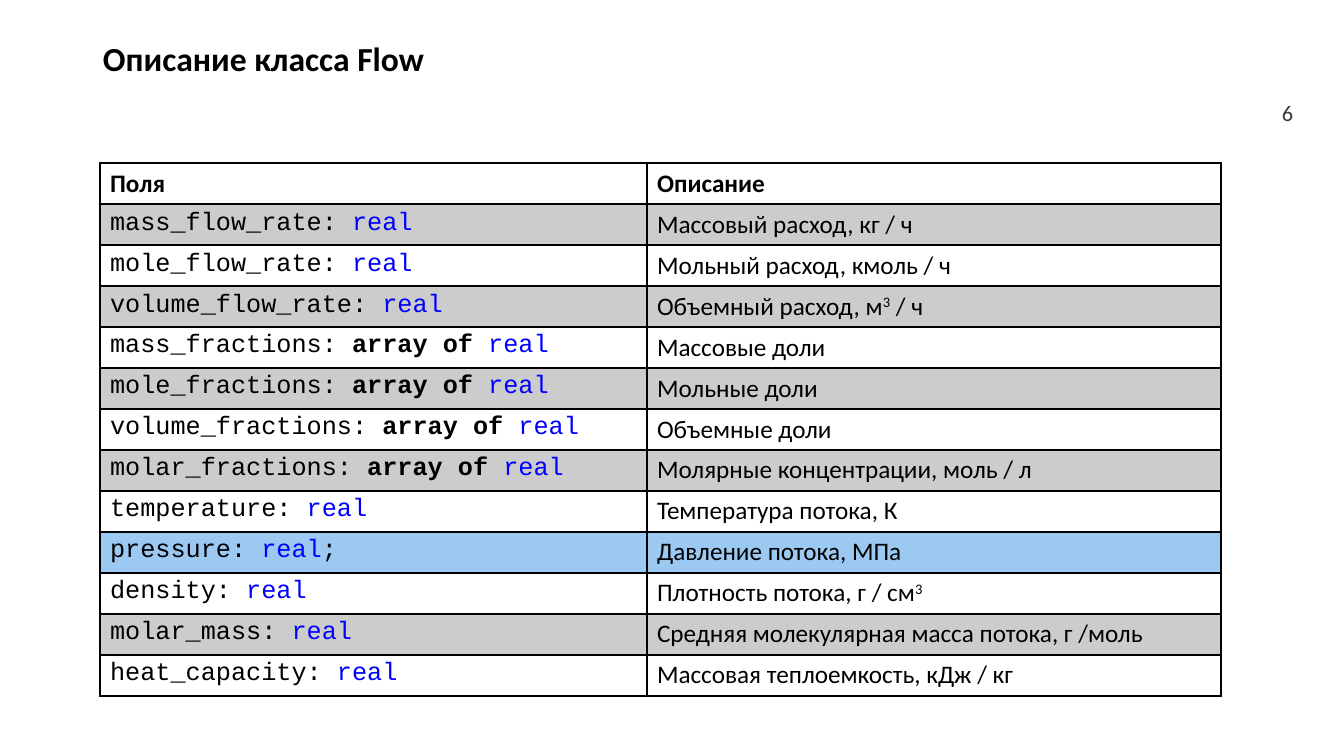
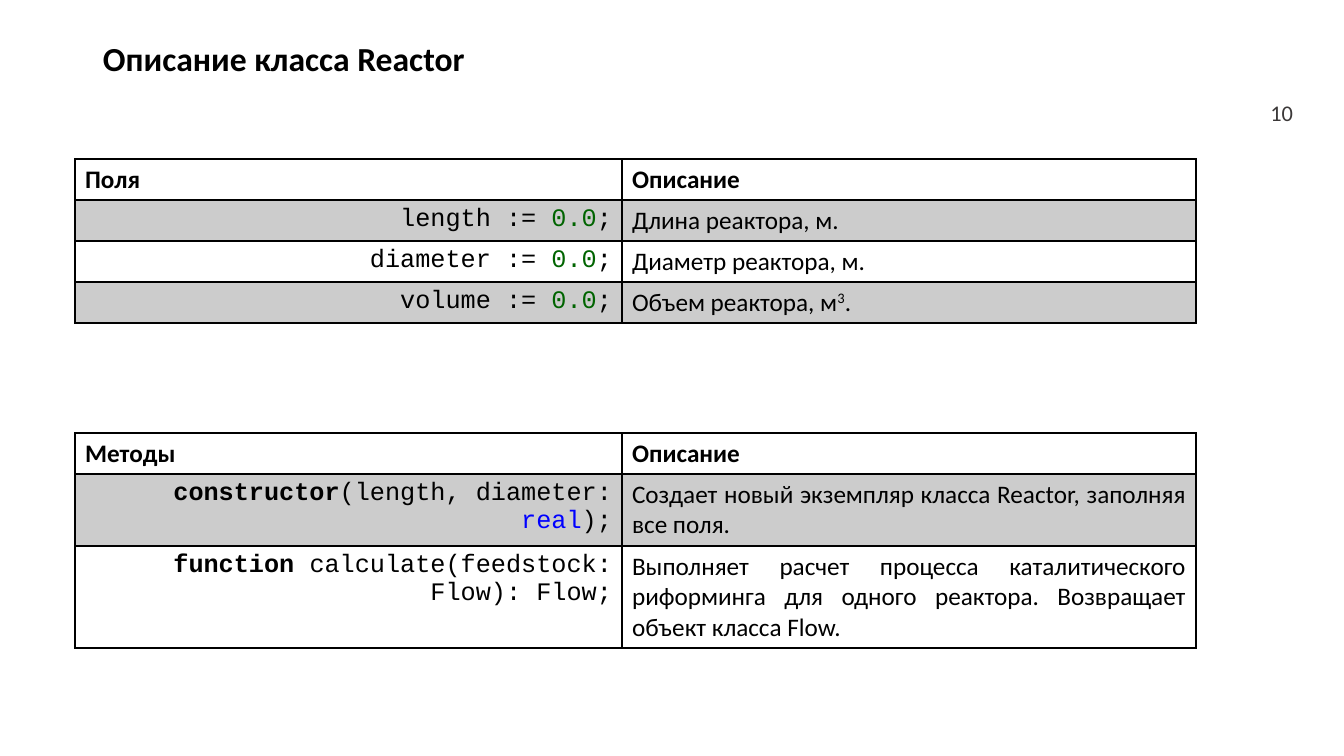
from lxml import etree
from pptx import Presentation
from pptx import util as u
from pptx.dml.color import RGBColor
from pptx.enum import text
from pptx.oxml import ns

BLACK = RGBColor(0x00, 0x00, 0x00)
WHITE = RGBColor(0xFF, 0xFF, 0xFF)
STRIPE = RGBColor(0xCC, 0xCC, 0xCC)
HIGHLIGHT = RGBColor(0x9B, 0xC9, 0xF2)
NUMBER_GREY = RGBColor(0x3B, 0x38, 0x38)
TYPE_BLUE = RGBColor(0x00, 0x00, 0xFF)
LITERAL_GREEN = RGBColor(0x00, 0x64, 0x00)

BODY, CODE = "Calibri", "Courier New"
SLIDE_W, SLIDE_H = 1344, 756
COLUMNS = (547, 574)
ROW = 41
LEFT, RIGHT, JUSTIFY = (text.PP_ALIGN.LEFT, text.PP_ALIGN.RIGHT,
                        text.PP_ALIGN.JUSTIFY)

# "|" separates runs; a run listed here gets its own colour, weight or position.
RUN_COLOURS = {"real": TYPE_BLUE, "0.0": LITERAL_GREEN}
BOLD_RUNS = {"array of ", "constructor", "function "}
SUPERSCRIPTS = {"3"}

FLOW_FIELDS = [
    ("Поля", "Описание"),
    ("mass_flow_rate: |real", "Массовый расход, кг / ч"),
    ("mole_flow_rate: |real", "Мольный расход, кмоль / ч"),
    ("volume_flow_rate: |real", "Объемный расход, м|3| / ч"),
    ("mass_fractions: |array of |real", "Массовые доли"),
    ("mole_fractions: |array of |real", "Мольные доли"),
    ("volume_fractions: |array of |real", "Объемные доли"),
    ("molar_fractions: |array of |real", "Молярные концентрации, моль / л"),
    ("temperature: |real", "Температура потока, К"),
    ("pressure: |real|;", "Давление потока, МПа"),
    ("density: |real", "Плотность потока, г / см|3"),
    ("molar_mass: |real", "Средняя молекулярная масса потока, г /моль"),
    ("heat_capacity: |real", "Массовая теплоемкость, кДж / кг"),
]
REACTOR_FIELDS = [
    ("Поля", "Описание"),
    ("length := |0.0|;", "Длина реактора, м."),
    ("diameter := |0.0|;", "Диаметр реактора, м."),
    ("volume := |0.0|;", "Объем реактора, м|3|."),
]
REACTOR_METHODS = [
    ("Методы", "Описание"),
    ("constructor|(length, diameter: |real|);",
     "Создает новый экземпляр класса Reactor, заполняя все поля."),
    ("function |calculate(feedstock: Flow): Flow;",
     "Выполняет расчет процесса каталитического риформинга для одного "
     "реактора. Возвращает объект класса Flow."),
]

SLIDES = [
    dict(title="Описание класса Flow", number=6, tables=[
        dict(rows=FLOW_FIELDS, at=(100, 163), aligns=(LEFT, LEFT),
             highlight=9)]),
    dict(title="Описание класса Reactor", number=10, tables=[
        dict(rows=REACTOR_METHODS, at=(75, 433), aligns=(RIGHT, JUSTIFY),
             heights=(ROW, 72, 102)),
        dict(rows=REACTOR_FIELDS, at=(75, 159), aligns=(RIGHT, JUSTIFY))]),
]


def px(n):
    return u.Emu(round(n * u.Inches(1) / 100.8))


def write(p, marked, font, size, colour=BLACK, bold=False, align=LEFT):
    """Fill a paragraph with the runs of a "|"-separated string."""
    p.alignment = align
    p.font.name, p.font.size = font, u.Pt(size)
    p.font.bold, p.font.color.rgb = bold, colour
    for piece in marked.split("|"):
        r = p.add_run()
        r.text = piece
        if piece in RUN_COLOURS:
            r.font.color.rgb = RUN_COLOURS[piece]
        if piece in BOLD_RUNS:
            r.font.bold = True
        if piece in SUPERSCRIPTS:
            r.font._element.set("baseline", "30000")


def add_label(s, box, label, size, **style):
    tf = s.shapes.add_textbox(*map(px, box)).text_frame
    tf.word_wrap = True
    tf.vertical_anchor = text.MSO_ANCHOR.MIDDLE
    write(tf.paragraphs[0], label, BODY, size, **style)
    return tf.paragraphs[0]


def add_borders(cell, bottom):
    tc_pr = cell._tc.get_or_add_tcPr()
    for side, width in (("L", 1), ("R", 1), ("T", 1), ("B", bottom)):
        line = etree.SubElement(tc_pr, ns.qn(f"a:ln{side}"), w=str(u.Pt(width)))
        fill = etree.SubElement(line, ns.qn("a:solidFill"))
        etree.SubElement(fill, ns.qn("a:srgbClr"), val=str(BLACK))


def add_class_table(s, rows, at, aligns, heights=None, highlight=None):
    heights = heights or [ROW] * len(rows)
    size = (sum(COLUMNS), sum(heights))
    table = s.shapes.add_table(len(rows), len(COLUMNS),
                               *map(px, at + size)).table
    table.first_row = table.horz_banding = False
    for column, width in zip(table.columns, COLUMNS):
        column.width = px(width)
    for i, (row, height) in enumerate(zip(rows, heights)):
        header = i == 0
        table.rows[i].height = px(height)
        for j, marked in enumerate(row):
            cell = table.cell(i, j)
            add_borders(cell, bottom=2 if header else 1)
            cell.fill.solid()
            cell.fill.fore_color.rgb = (HIGHLIGHT if i == highlight
                                        else STRIPE if i % 2 else WHITE)
            write(cell.text_frame.paragraphs[0], marked,
                  CODE if j == 0 and not header else BODY, 18, bold=header,
                  align=LEFT if header else aligns[j])


def main():
    prs = Presentation()
    prs.slide_width, prs.slide_height = px(SLIDE_W), px(SLIDE_H)
    for content in SLIDES:
        s = prs.slides.add_slide(prs.slide_layouts[6])
        add_label(s, (1252, 93, 51, 40), str(content["number"]), 16,
                  colour=NUMBER_GREY, align=RIGHT)
        title = add_label(s, (93, 17, 1087, 88), content["title"], 24, bold=True)
        title.line_spacing = 0.9
        for table in content["tables"]:
            add_class_table(s, **table)
    prs.save("out.pptx")


if __name__ == "__main__":
    main()
